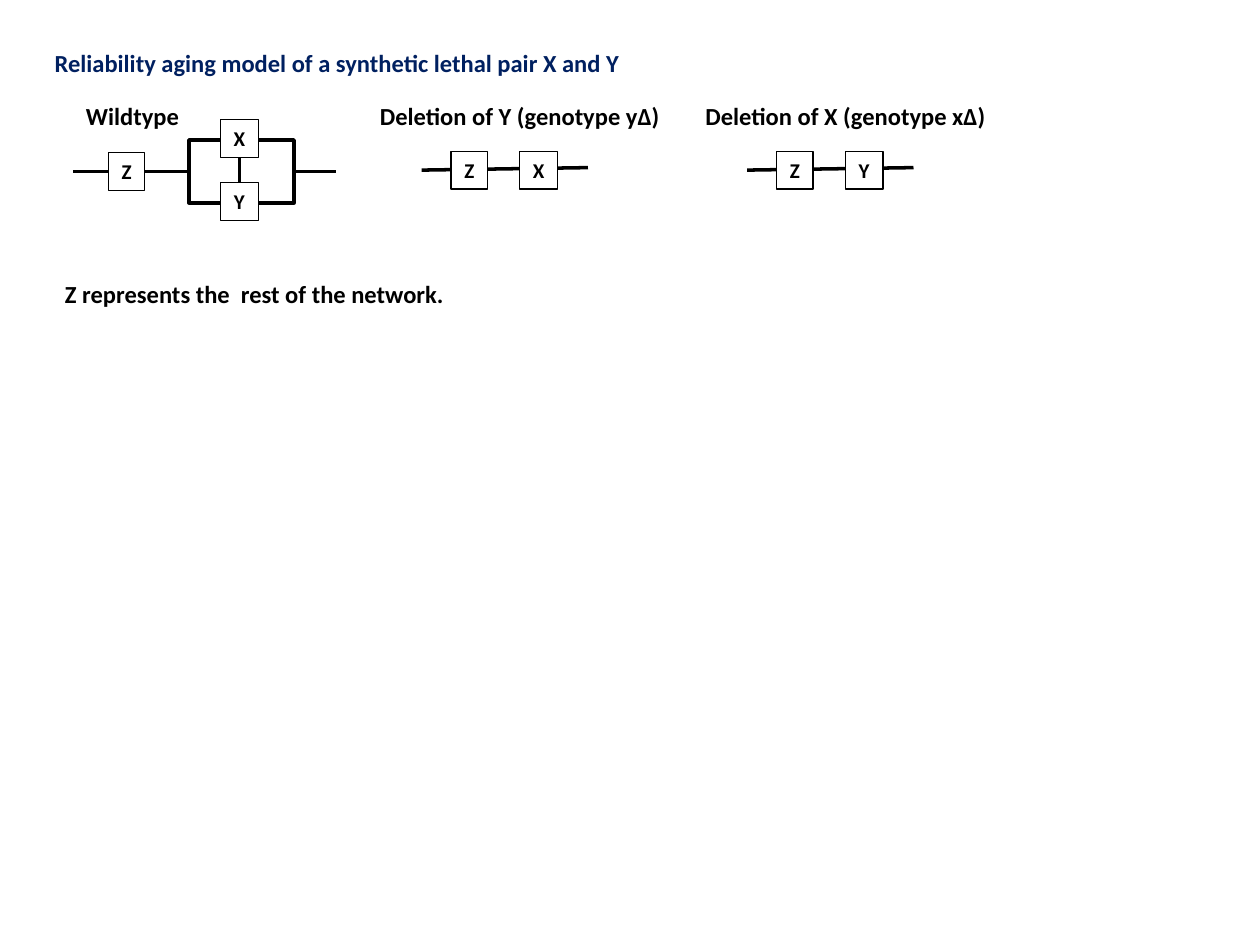
"""Build the slide on the aging model of a synthetic lethal pair."""
from dataclasses import dataclass

import pptx
import pptx.dml.color
import pptx.enum.shapes
import pptx.enum.text
import pptx.oxml
import pptx.oxml.ns
import pptx.shapes.autoshape
import pptx.shapes.shapetree
import pptx.text.text
import pptx.util

Pt = pptx.util.Pt
BLACK = pptx.dml.color.RGBColor(0, 0, 0)
WHITE = pptx.dml.color.RGBColor(255, 255, 255)
NAVY = pptx.dml.color.RGBColor(0, 0x20, 0x60)
FONT = "Calibri"
SIDE = 21.6
THICK = 2
THIN = 0.75
STEP = 186


@dataclass
class Label:
    text: str
    left: float
    top: float
    width: float


@dataclass
class Node:
    text: str
    left: float
    top: float
    width: float = SIDE


@dataclass
class Wire:
    x1: float
    y1: float
    x2: float
    y2: float


LABELS = [
    Label("Wildtype", 42, 54, 70),
    Label("Deletion of Y (genotype y∆)", 210, 54, 186),
    Label("Deletion of X (genotype x∆)", 396, 54, 180),
    Label("Z represents the  rest of the network.", 30, 156, 234),
]
WIRES = [
    Wire(168, 98, 192, 98),
    Wire(42, 98, 107, 98),
    Wire(136.8, 104.4, 136.8, 90),
]
NODES = [
    Node("X", 126, 68.4),
    Node("Y", 126, 104.4),
    Node("Z", 62, 87.2, 20.8),
]


def set_text(
    frame: pptx.text.text.TextFrame,
    text: str,
    size: float,
    color: pptx.dml.color.RGBColor,
    align: pptx.enum.text.PP_ALIGN,
    wrap: bool,
) -> None:
    frame.text = text
    frame.word_wrap = wrap
    frame.vertical_anchor = pptx.enum.text.MSO_ANCHOR.TOP
    frame.auto_size = pptx.enum.text.MSO_AUTO_SIZE.SHAPE_TO_FIT_TEXT
    part = frame.paragraphs[0]
    part.alignment = align
    font = part.runs[0].font
    font.name = FONT
    font.size = Pt(size)
    font.bold = True
    font.color.rgb = color


def add_label(shapes: pptx.shapes.shapetree.SlideShapes, label: Label) -> None:
    box = shapes.add_textbox(
        Pt(label.left), Pt(label.top), Pt(label.width), Pt(24.2)
    )
    set_text(box.text_frame, label.text, 14, BLACK, pptx.enum.text.PP_ALIGN.LEFT, True)


def add_box(
    shapes: pptx.shapes.shapetree.GroupShapes,
    left: float,
    top: float,
    width: float,
    height: float,
    line: float,
) -> pptx.shapes.autoshape.Shape:
    box = shapes.add_shape(
        pptx.enum.shapes.MSO_SHAPE.RECTANGLE,
        Pt(left), Pt(top), Pt(width), Pt(height),
    )
    box.shadow.inherit = False
    box.fill.background()
    box.line.color.rgb = BLACK
    box.line.width = Pt(line)
    return box


def add_node(shapes: pptx.shapes.shapetree.GroupShapes, node: Node) -> None:
    box = add_box(shapes, node.left, node.top, node.width, SIDE, THIN)
    box.fill.solid()
    box.fill.fore_color.rgb = WHITE
    set_text(box.text_frame, node.text, 12, BLACK, pptx.enum.text.PP_ALIGN.CENTER, False)


def add_wire(shapes: pptx.shapes.shapetree.GroupShapes, wire: Wire) -> None:
    line = shapes.add_connector(
        pptx.enum.shapes.MSO_CONNECTOR.STRAIGHT,
        Pt(wire.x1), Pt(wire.y1), Pt(wire.x2), Pt(wire.y2),
    )
    line.line.color.rgb = BLACK
    line.line.width = Pt(THICK)
    props = line.element.find(pptx.oxml.ns.qn("p:spPr"))
    props.append(pptx.oxml.parse_xml(f"<a:effectLst {pptx.oxml.ns.nsdecls('a')}/>"))


def add_wild(shapes: pptx.shapes.shapetree.SlideShapes) -> None:
    group = shapes.add_group_shape().shapes
    add_box(group, 108, 80, 60, 36, THICK)
    for wire in WIRES:
        add_wire(group, wire)
    for node in NODES:
        add_node(group, node)


def add_chain(
    shapes: pptx.shapes.shapetree.SlideShapes, shift: float, last: str
) -> None:
    group = shapes.add_group_shape().shapes
    add_wire(group, Wire(241 + shift, 97.2, 336 + shift, 95.8))
    add_node(group, Node("Z", 257.8 + shift, 86.4, 20.8))
    add_node(group, Node(last, 297 + shift, 86.4))


def main() -> None:
    deck = pptx.Presentation()
    deck.slide_width, deck.slide_height = Pt(720), Pt(540)
    slide = deck.slides.add_slide(deck.slide_layouts[5])
    shapes = slide.shapes
    title = shapes.title
    title.left, title.top = Pt(24), Pt(24)
    title.width, title.height = Pt(354), Pt(24.2)
    set_text(
        title.text_frame,
        "Reliability aging model of a synthetic lethal pair X and Y",
        14, NAVY, pptx.enum.text.PP_ALIGN.LEFT, True,
    )
    add_wild(shapes)
    for index, last in enumerate("XY"):
        add_chain(shapes, index * STEP, last)
    for label in LABELS:
        add_label(shapes, label)
    deck.save("out.pptx")


if __name__ == "__main__":
    main()
